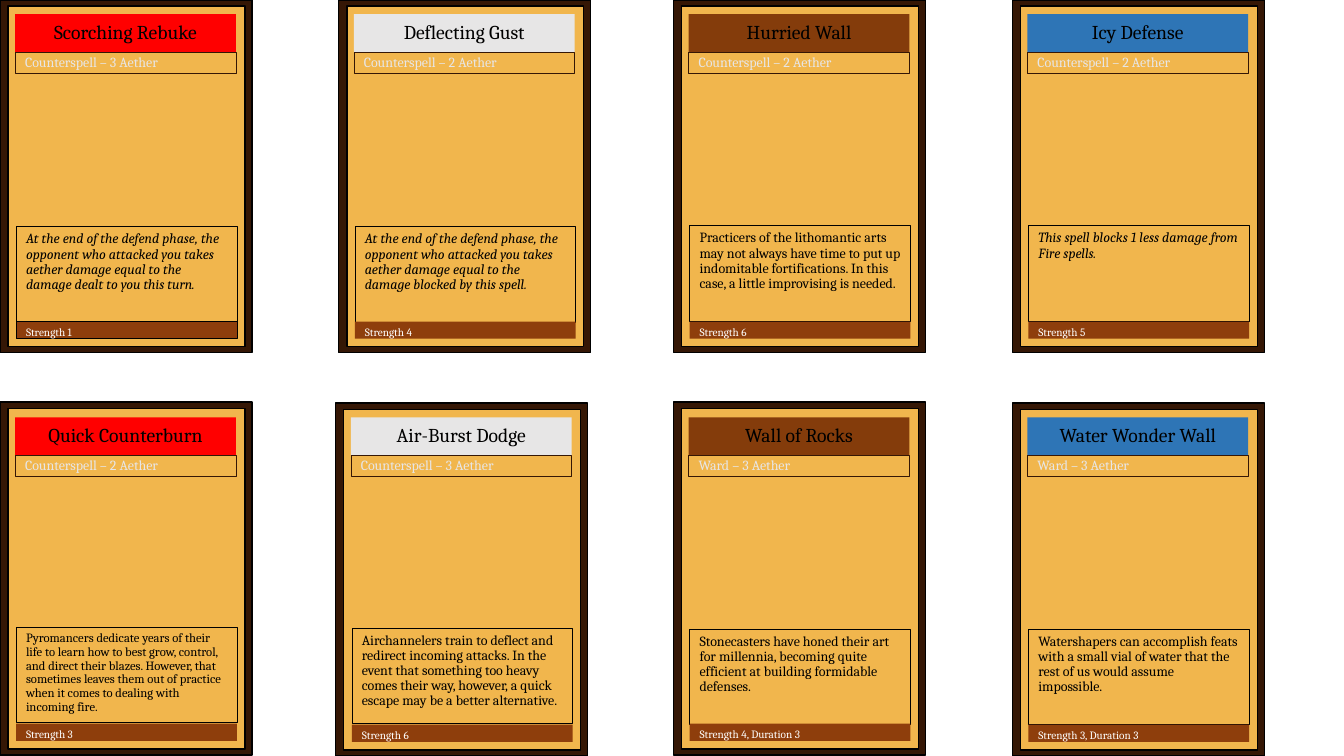
from pptx import Presentation
from pptx import util as u
from pptx.dml import color
from pptx.enum import shapes, text

FIRE, AIR, EARTH, WATER = "FF0000", "E7E6E6", "843C0B", "2E75B6"
COUNTER, WARD = "Counterspell – {} Aether", "Ward – {} Aether"
BLACK, DARK, GOLD, RUST, WHITE = "000000", "351705", "F1B64D", "8E3E0C", "FFFFFF"

# left, top, row, rules top, hue, name, kind, rules, size, italic, strength
CARDS = [
    (0, 0, 0, 2.25, FIRE, "Scorching Rebuke", COUNTER.format(3),
     "At the end of the defend phase, the opponent who attacked you takes "
     "aether damage equal to the damage dealt to you this turn.",
     10, True, "Strength 1"),
    (3.36, 0, 0, 2.25, AIR, "Deflecting Gust", COUNTER.format(2),
     "At the end of the defend phase, the opponent who attacked you takes "
     "aether damage equal to the damage blocked by this spell.",
     10, True, "Strength 4"),
    (6.68, 0, 0, 2.24, EARTH, "Hurried Wall", COUNTER.format(2),
     "Practicers of the lithomantic arts may not always have time to put up "
     "indomitable fortifications. In this case, a little improvising is needed.",
     10, False, "Strength 6"),
    (10.04, 0, 0, 2.24, WATER, "Icy Defense", COUNTER.format(2),
     "This spell blocks 1 less damage from Fire spells.",
     10, True, "Strength 5"),
    (0, 3.99, 4, 6.22, FIRE, "Quick Counterburn", COUNTER.format(2),
     "Pyromancers dedicate years of their life to learn how to best grow, "
     "control, and direct their blazes. However, that sometimes leaves them "
     "out of practice when it comes to dealing with incoming fire.",
     9, False, "Strength 3"),
    (3.33, 4, 4, 6.23, AIR, "Air-Burst Dodge", COUNTER.format(3),
     "Airchannelers train to deflect and redirect incoming attacks. In the "
     "event that something too heavy comes their way, however, a quick escape "
     "may be a better alternative.",
     10, False, "Strength 6"),
    (6.68, 3.99, 4, 6.24, EARTH, "Wall of Rocks", WARD.format(3),
     "Stonecasters have honed their art for millennia, becoming quite "
     "efficient at building formidable defenses.",
     10, False, "Strength 4, Duration 3"),
    (10.04, 4, 4, 6.24, WATER, "Water Wonder Wall", WARD.format(3),
     "Watershapers can accomplish feats with a small vial of water that the "
     "rest of us would assume impossible.",
     10, False, "Strength 3, Duration 3"),
]

deck = Presentation()
deck.slide_width, deck.slide_height = u.Inches(13.33), u.Inches(7.5)
slide = deck.slides.add_slide(deck.slide_layouts[6])


def paint(part, hue):
    if hue:
        part.solid()
        part.fore_color.rgb = color.RGBColor.from_string(hue)
    else:
        part.background()


def box(x, y, w, h, fill, line, width):
    rect = slide.shapes.add_shape(
        shapes.MSO_SHAPE.RECTANGLE, *map(u.Inches, (x, y, w, h)))
    rect.shadow.inherit = False
    paint(rect.fill, fill)
    paint(rect.line.fill, line)
    if line:
        rect.line.width = u.Pt(width)
    return rect


def label(rect, words, hue, size, middle=False, center=False, italic=False, gap=10):
    frame = rect.text_frame
    para = frame.paragraphs[0]
    run = para.add_run()
    run.text = words
    anchor = text.MSO_ANCHOR.MIDDLE if middle else text.MSO_ANCHOR.TOP
    align = text.PP_ALIGN.CENTER if center else text.PP_ALIGN.LEFT
    looks = [
        (frame, {"word_wrap": True, "vertical_anchor": anchor}),
        (para, {"alignment": align, "line_spacing": 0.9, "space_before": u.Pt(gap)}),
        (run.font, {"name": "Cambria", "size": u.Pt(size), "italic": italic}),
    ]
    for part, look in looks:
        for key, val in look.items():
            setattr(part, key, val)
    paint(run.font.fill, hue)


def card(left, top, row, low, hue, name, kind, rules, size, italic, power):
    box(left, top, 2.5, 3.5, DARK, BLACK, 1)
    box(left + 0.08, top + 0.06, 2.35, 3.38, GOLD, BLACK, 1)

    def panel(inset, y, h, fill, line):
        return box(left + inset, y, 2.19, h, fill, line, 0.5)

    label(panel(0.15, row + 0.14, 0.38, hue, None), name, BLACK, 14,
          middle=True, center=True)
    label(panel(0.15, row + 0.52, 0.21, None, DARK), kind, "E7E6E6", 10, middle=True)
    label(panel(0.16, low, 0.95, GOLD, BLACK), rules, BLACK, size,
          italic=italic, gap=0)
    edge = BLACK if power == "Strength 1" else None
    label(panel(0.16, top + 3.19, 0.17, RUST, edge), power, WHITE, 8)


for item in CARDS:
    card(*item)

deck.save("out.pptx")
